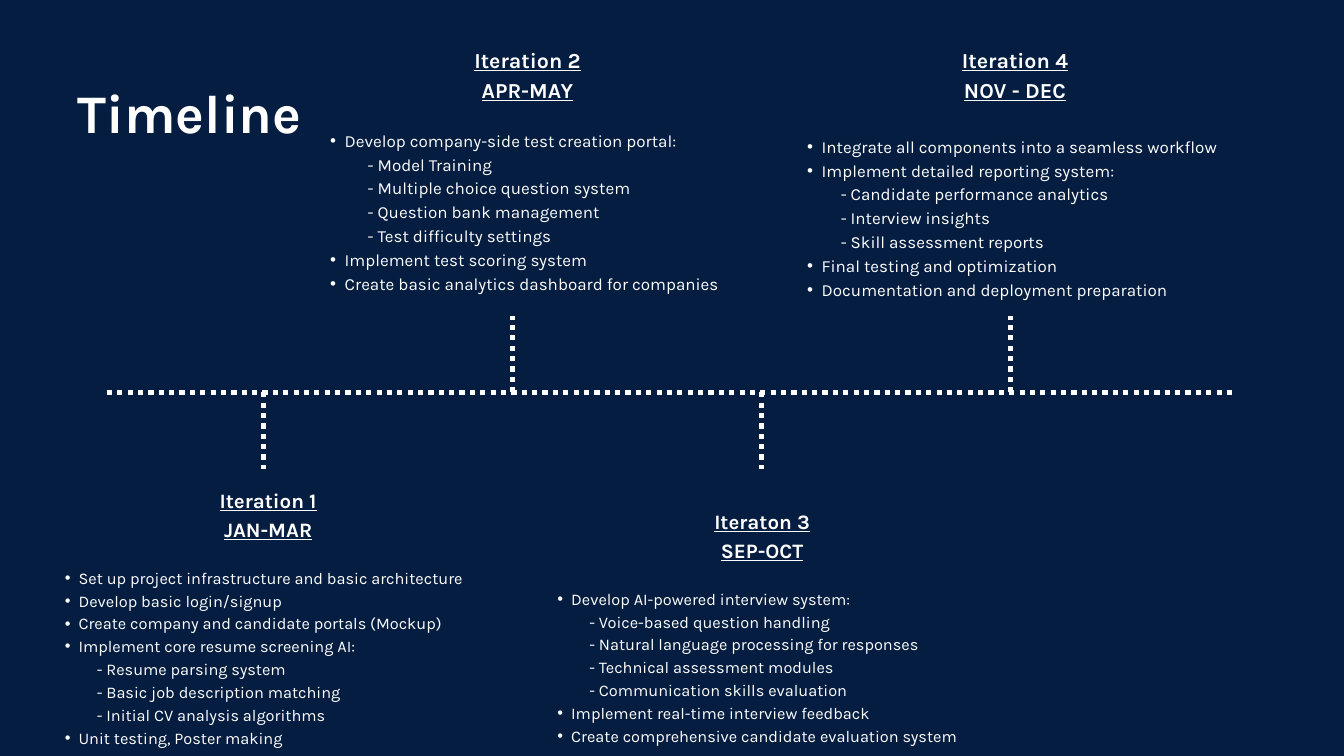
"""Build the project timeline slide with four iterations around a dotted axis."""
from dataclasses import dataclass

from lxml.etree import SubElement
from pptx import Presentation
from pptx.dml.color import RGBColor as Color
from pptx.enum.dml import MSO_LINE_DASH_STYLE as Dash
from pptx.enum.shapes import MSO_CONNECTOR as Connector
from pptx.enum.text import PP_ALIGN as Align
from pptx.oxml.ns import qn
from pptx.util import Cm, Pt


@dataclass(frozen=True)
class TextScale:
    heading: float
    heading_line: float
    body: float
    body_line: float
    bullet_left: float
    hanging: float


@dataclass(frozen=True)
class Theme:
    background: Color = Color(0x05, 0x1D, 0x40)
    ink: Color = Color(0xFF, 0xFF, 0xFF)
    font: str = "Karla"
    title: float = 58.2
    title_line: float = 81.5
    stroke: float = 5.56
    upper: TextScale = TextScale(22.9, 32.1, 18.2, 25.5, 1.09, 0.55)
    lower: TextScale = TextScale(22, 30.8, 17.5, 24.5, 1.04, 0.52)


class TimelineSlide:
    def __init__(self, deck, theme):
        self.theme = theme
        self.slide = deck.slides.add_slide(deck.slide_layouts[6])
        fill = self.slide.background.fill
        fill.solid()
        fill.fore_color.rgb = theme.background

    def text_box(self, left, top, width, height):
        box = self.slide.shapes.add_textbox(Cm(left), Cm(top), Cm(width), Cm(height))
        frame = box.text_frame
        frame.word_wrap = True
        frame.margin_left = frame.margin_top = frame.margin_right = frame.margin_bottom = 0
        return frame

    def style(self, para, text, size, line, align, strong=False, underline=False):
        para.add_run().text = text
        para.alignment = align
        para.line_spacing = Pt(line)
        font = para.font
        font.name, font.size = self.theme.font, Pt(size)
        font.bold, font.underline = strong, underline
        font.color.rgb = self.theme.ink

    def title(self, text, *area):
        para = self.text_box(*area).paragraphs[0]
        self.style(para, text, self.theme.title, self.theme.title_line, Align.CENTER, True)

    def dotted_line(self, x1, y1, x2, y2):
        line = self.slide.shapes.add_connector(
            Connector.STRAIGHT, Cm(x1), Cm(y1), Cm(x2), Cm(y2))
        line.line.color.rgb = self.theme.ink
        line.line.width = Pt(self.theme.stroke)
        line.line.dash_style = Dash.ROUND_DOT
        SubElement(line._element.spPr, qn("a:effectLst"))

    def item(self, para, text, scale, detail_left):
        properties = para._p.get_or_add_pPr()
        if text.startswith("- "):
            properties.set("marL", str(Cm(detail_left)))
            properties.set("indent", "0")
        else:
            para.level = 1
            properties.set("marL", str(Cm(scale.bullet_left)))
            properties.set("indent", str(-Cm(scale.hanging)))
            SubElement(properties, qn("a:buFont"), typeface="Arial")
            SubElement(properties, qn("a:buChar"), char="•")
        self.style(para, text, scale.body, scale.body_line, Align.JUSTIFY)

    def iteration(self, area, scale, gap, detail_left, headings, items):
        frame = self.text_box(*area)
        for index, text in enumerate(headings):
            para = frame.add_paragraph() if index else frame.paragraphs[0]
            self.style(para, text, scale.heading, scale.heading_line, Align.CENTER, True, True)
        for index, text in enumerate(items):
            para = frame.add_paragraph()
            self.item(para, text, scale, detail_left)
            if index == 0:
                para.space_before = Pt(gap)


def main():
    deck = Presentation()
    deck.slide_width, deck.slide_height = Cm(50.8), Cm(28.58)
    theme = Theme()
    page = TimelineSlide(deck, theme)
    page.title("Timeline", 2.84, 2.57, 8.66, 2.74)

    axis_y, tick_length, first_tick, tick_gap = 14.83, 2.9, 9.96, 9.41
    page.dotted_line(4.04, axis_y, 46.76, axis_y)
    for index in range(4):
        x = first_tick + index * tick_gap
        end_y = axis_y + (-tick_length if index % 2 else tick_length)
        page.dotted_line(x, axis_y, x, end_y)

    iterations = [
        ((1.93, 18.31, 16.41, 9.75), theme.lower, 24.5, 1.73,
         ("Iteration 1", "JAN-MAR"),
         ("Set up project infrastructure and basic architecture",
          "Develop basic login/signup",
          "Create company and candidate portals (Mockup)",
          "Implement core resume screening AI:",
          "- Resume parsing system",
          "- Basic job description matching",
          "- Initial CV analysis algorithms",
          "Unit testing, Poster making")),
        ((11.94, 1.63, 16, 9.35), theme.upper, 25.5, 1.96,
         ("Iteration 2", "APR-MAY"),
         ("Develop company-side test creation portal:",
          "- Model Training",
          "- Multiple choice question system",
          "- Question bank management",
          "- Test difficulty settings",
          "Implement test scoring system",
          "Create basic analytics dashboard for companies")),
        ((29.97, 1.63, 16.79, 9.6), theme.upper, 32.1, 1.81,
         ("Iteration 4", "NOV - DEC"),
         ("Integrate all components into a seamless workflow",
          "Implement detailed reporting system:",
          "- Candidate performance analytics",
          "- Interview insights",
          "- Skill assessment reports",
          "Final testing and optimization",
          "Documentation and deployment preparation")),
        ((20.55, 19.1, 16.51, 8.97), theme.lower, 24.5, 1.73,
         ("Iteraton 3", "SEP-OCT"),
         ("Develop AI-powered interview system:",
          "- Voice-based question handling",
          "- Natural language processing for responses",
          "- Technical assessment modules",
          "- Communication skills evaluation",
          "Implement real-time interview feedback",
          "Create comprehensive candidate evaluation system")),
    ]
    for details in iterations:
        page.iteration(*details)
    deck.save("out.pptx")


if __name__ == "__main__":
    main()
